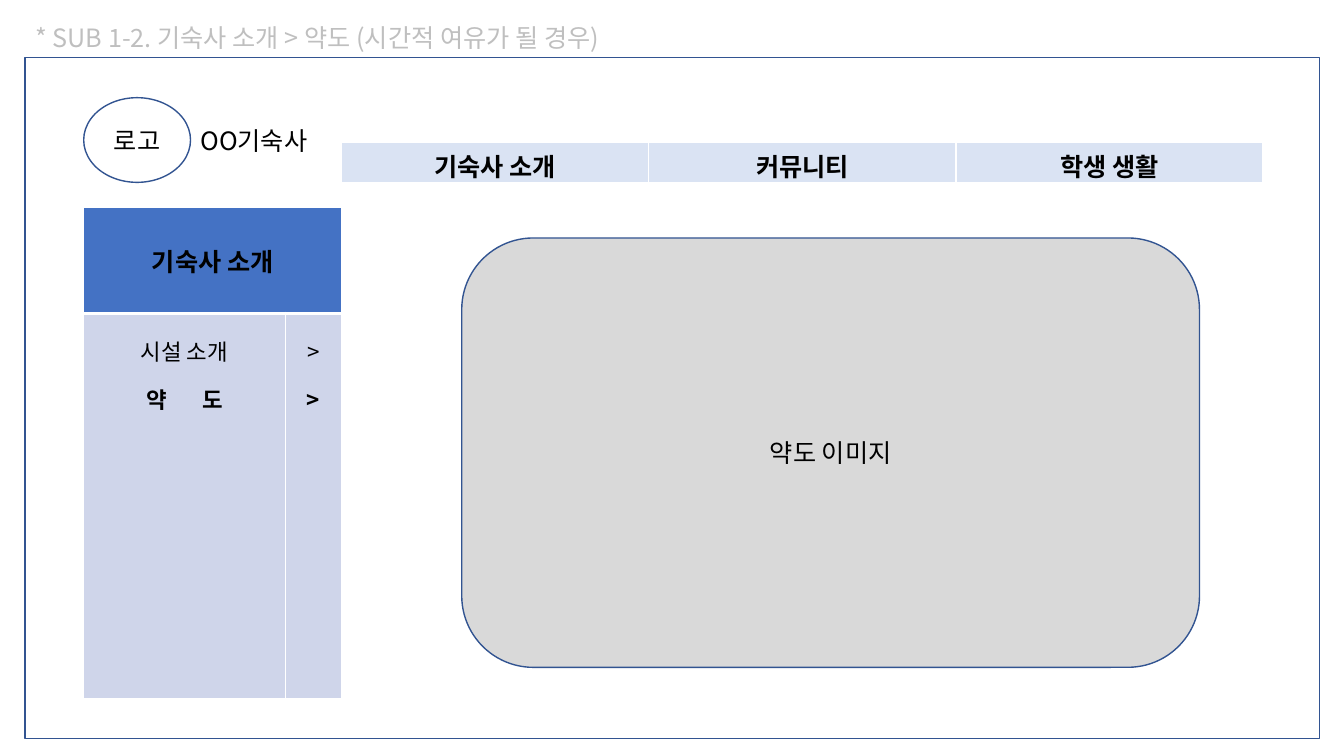
"""Draw the wireframe of a dormitory site's map page."""
from dataclasses import dataclass

from lxml.etree import SubElement as Sub
from pptx import Presentation as Deck
from pptx.dml.color import RGBColor as Rgb
from pptx.enum.shapes import MSO_SHAPE as Form
from pptx.enum.text import MSO_ANCHOR as Anchor, MSO_AUTO_SIZE as Fit, PP_ALIGN as Align
from pptx.oxml.ns import qn
from pptx.util import Pt


@dataclass(frozen=True)
class Theme:
    face: str = "Noto Sans CJK KR"
    ink: str = "000000"
    mute: str = "BFBFBF"
    edge: str = "325491"
    white: str = "FFFFFF"
    grey: str = "D9D9D9"
    nav: str = "DAE3F3"
    head: str = "4472C4"
    side: str = "CFD5EA"
    body: int = 18
    small: int = 16


THEME = Theme()


def style(para, size=THEME.body, color=THEME.ink, bold=False, align=Align.CENTER):
    para.alignment = align
    font = para.font
    font.name, font.size, font.bold = THEME.face, Pt(size), bold
    font.color.rgb = Rgb.from_string(color)
    props = para._p.pPr.find(qn("a:defRPr"))
    Sub(props, qn("a:ea"), typeface=THEME.face)


def label(frame, text, **look):
    frame.text = text
    style(frame.paragraphs[0], **look)


def shape(parent, form, box, text="", fill=None):
    item = parent.add_shape(form, *map(Pt, box))
    item.shadow.inherit = False
    if fill:
        item.fill.solid()
        item.fill.fore_color.rgb = Rgb.from_string(fill)
    else:
        item.fill.background()
    item.line.color.rgb = Rgb.from_string(THEME.edge)
    item.line.width = Pt(1)
    if text:
        item.text_frame.vertical_anchor = Anchor.MIDDLE
        label(item.text_frame, text)


def title(slide, box, text):
    item = slide.shapes.title
    item.left, item.top, item.width, item.height = map(Pt, box)
    frame = item.text_frame
    frame.word_wrap, frame.auto_size = True, Fit.NONE
    frame.vertical_anchor = Anchor.TOP
    label(frame, text, color=THEME.mute, align=Align.LEFT)


def logo(slide):
    group = slide.shapes.add_group_shape().shapes
    shape(group, Form.OVAL, (59.8, 69.8, 76.3, 60.5), "로고")
    name = group.add_textbox(*map(Pt, (136.1, 85.7, 108, 28.8)))
    name.text_frame.word_wrap = True
    label(name.text_frame, "OO기숙사", align=Align.LEFT)


def paint(cell, fill, **sides):
    props = cell._tc.get_or_add_tcPr()
    for side, width in sides.items():
        line = Sub(props, qn(f"a:ln{side}"), w=str(Pt(width)))
        Sub(Sub(line, qn("a:solidFill")), qn("a:srgbClr"), val=THEME.white)
    cell.fill.solid()
    cell.fill.fore_color.rgb = Rgb.from_string(fill)


def grid(slide, left, top, cols, rows):
    box = map(Pt, (left, top, sum(cols), sum(rows)))
    table = slide.shapes.add_table(len(rows), len(cols), *box).table
    table.first_row = table.horz_banding = False
    for col, width in zip(table.columns, cols):
        col.width = Pt(width)
    for row, height in zip(table.rows, rows):
        row.height = Pt(height)
    return table


def navbar(slide, names):
    table = grid(slide, 244.1, 101.5, [219.4] * len(names), [29.5])
    for cell, name in zip(table.rows[0].cells, names):
        paint(cell, THEME.nav, L=1, R=1, T=1, B=3)
        label(cell.text_frame, name, bold=True)


def spread(para, gap):
    """Widen the single space between the words of a paragraph."""
    first, last = para.text.split()
    para.clear()
    for part in (first, " ", last):
        para.add_run().text = part
    para.runs[1]._r.get_or_add_rPr().set("spc", str(round(gap * 100)))


def sidebar(slide, head, columns):
    table = grid(slide, 59.8, 148.3, [144, 40.3], [75.6, 275])
    for cell in table.rows[0].cells:
        paint(cell, THEME.head, L=1, R=1, T=1, B=3)
    top = table.cell(0, 0)
    top.merge(table.cell(0, 1))
    top.vertical_anchor = Anchor.MIDDLE
    label(top.text_frame, head, bold=True)
    for cell, lines in zip(table.rows[1].cells, columns):
        paint(cell, THEME.side, L=1, R=1, B=1)
        cell.text_frame.text = "\n".join(lines)
        for para, bold in zip(cell.text_frame.paragraphs, (False, True)):
            para.line_spacing = 1.5
            style(para, THEME.small, bold=bold)
    spread(table.cell(1, 0).text_frame.paragraphs[1], 21.5)


def main():
    deck = Deck()
    deck.slide_width, deck.slide_height = Pt(960), Pt(540)
    slide = deck.slides.add_slide(deck.slide_layouts[5])
    shape(slide.shapes, Form.RECTANGLE, (18, 41, 924.5, 486.7))
    title(slide, (18, 12.2, 507, 28.8),
          "* SUB 1-2. 기숙사 소개 > 약도 (시간적 여유가 될 경우)")
    logo(slide)
    navbar(slide, ["기숙사 소개", "커뮤니티", "학생 생활"])
    sidebar(slide, "기숙사 소개", [["시설 소개", "약 도"], [">", ">"]])
    shape(slide.shapes, Form.ROUNDED_RECTANGLE, (329.8, 170, 527, 306.7),
          "약도 이미지", THEME.grey)
    deck.save("out.pptx")


if __name__ == "__main__":
    main()
